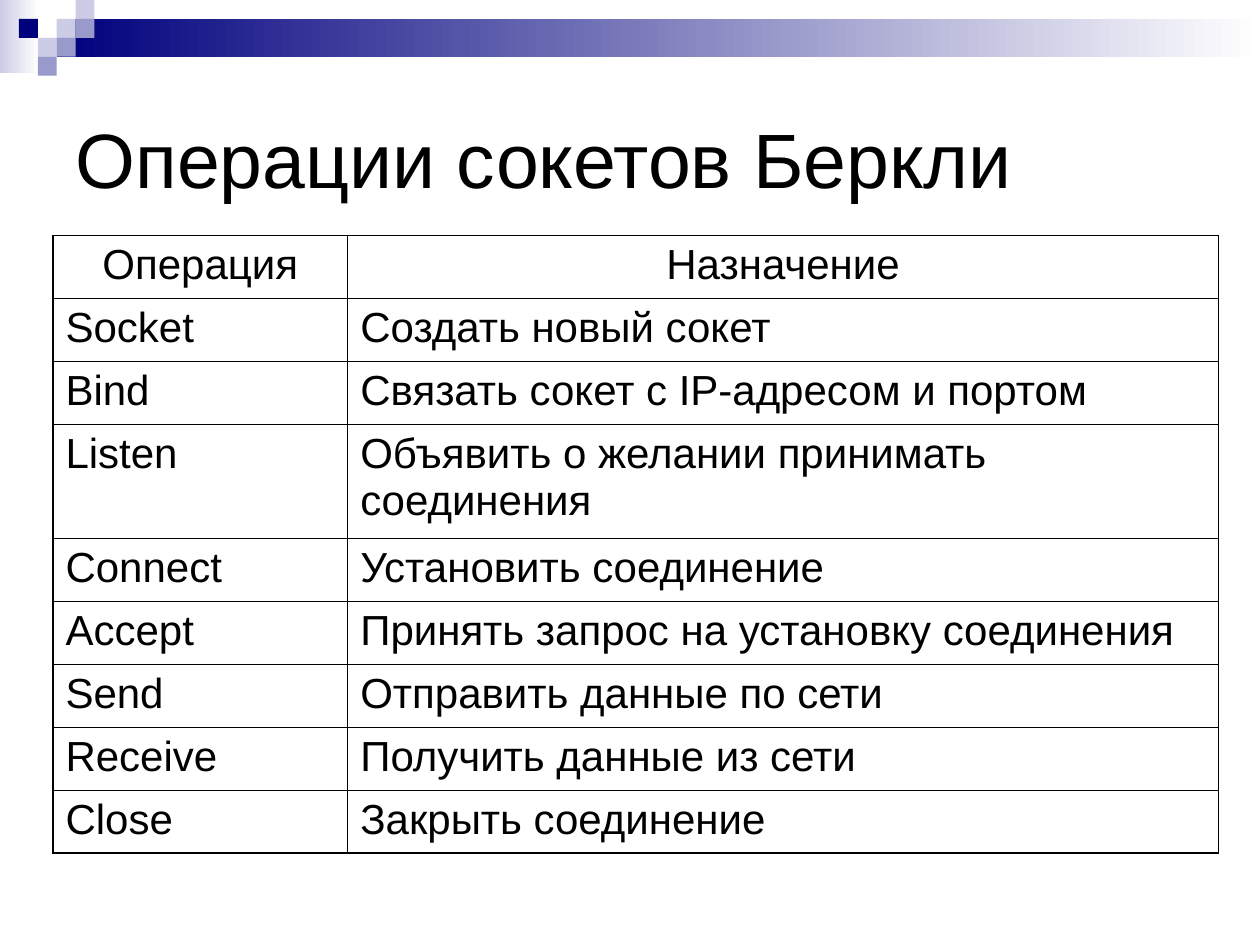
"""Build the slide that lists the Berkeley socket operations."""
from lxml.etree import SubElement
from pptx import Presentation
from pptx.dml.color import RGBColor
from pptx.enum.shapes import MSO_SHAPE
from pptx.enum.text import MSO_ANCHOR, MSO_AUTO_SIZE, PP_ALIGN
from pptx.oxml.ns import qn
from pptx.util import Inches, Pt

TITLE = "Операции сокетов Беркли"
OPERATIONS = [
    ("Операция", "Назначение"),
    ("Socket", "Создать новый сокет"),
    ("Bind", "Связать сокет с IP-адресом и портом"),
    ("Listen", "Объявить о желании принимать соединения"),
    ("Connect", "Установить соединение"),
    ("Accept", "Принять запрос на установку соединения"),
    ("Send", "Отправить данные по сети"),
    ("Receive", "Получить данные из сети"),
    ("Close", "Закрыть соединение"),
]
COLORS = {"navy": "00007D", "mid": "9999CC", "light": "CCCCE6",
          "white": "FFFFFF", "black": "000000"}
FONT = "Arial"
UNIT = 0.15
BANDS = [((0, 0, 0.31, 0.58), "light"), ((0.45, 0.15, 9.55, 0.3), "navy")]
SQUARES = [(3, 1, "light"), (4, 0, "light"), (4, 1, "mid"), (2, 2, "light"),
           (1, 1, "navy"), (3, 2, "mid"), (2, 3, "mid")]
COLUMN_WIDTHS = [2.34, 6.91]
ROW_HEIGHT, TALL_ROW_HEIGHT, TALL_ROW = 0.5, 0.9, "Listen"
THIN, THICK = 0.45, 1.08


def color(name):
    return RGBColor.from_string(COLORS[name])


def add_rectangle(slide, left, top, width, height):
    box = slide.shapes.add_shape(
        MSO_SHAPE.RECTANGLE, *map(Inches, (left, top, width, height)))
    box.shadow.inherit = False
    box.line.fill.background()
    return box


def add_decoration(slide):
    for place, start in BANDS:
        fill = add_rectangle(slide, *place).fill
        fill.gradient()
        fill.gradient_angle = 0
        for stop, name in zip(fill.gradient_stops, (start, "white")):
            stop.color.rgb = color(name)
    for column, row, name in SQUARES:
        fill = add_rectangle(slide, column * UNIT, row * UNIT, UNIT, UNIT).fill
        fill.solid()
        fill.fore_color.rgb = color(name)


def set_font(paragraph, size):
    paragraph.font.name = FONT
    paragraph.font.size = Pt(size)
    paragraph.font.bold = False
    paragraph.font.color.rgb = color("black")


def add_title(slide):
    title = slide.shapes.title
    title.left, title.top, title.width, title.height = map(
        Inches, (0.5, 0.5, 9, 1.5))
    frame = title.text_frame
    frame.text = TITLE
    frame.auto_size = MSO_AUTO_SIZE.NONE
    frame.vertical_anchor = MSO_ANCHOR.MIDDLE
    frame.paragraphs[0].alignment = PP_ALIGN.LEFT
    set_font(frame.paragraphs[0], 44)
    slide.shapes.element.append(title.element)


def set_borders(cell, outer_edges):
    properties = cell._tc.get_or_add_tcPr()
    for position, (side, is_outer) in enumerate(outer_edges.items()):
        width = Pt(THICK if is_outer else THIN)
        line = properties.makeelement(qn(f"a:ln{side}"), {"w": str(width)})
        fill = SubElement(line, qn("a:solidFill"))
        SubElement(fill, qn("a:srgbClr"), val=COLORS["black"])
        properties.insert(position, line)


def add_operations_table(slide):
    heights = [TALL_ROW_HEIGHT if name == TALL_ROW else ROW_HEIGHT
               for name, _ in OPERATIONS]
    size = sum(COLUMN_WIDTHS), sum(heights)
    table = slide.shapes.add_table(
        len(OPERATIONS), len(COLUMN_WIDTHS),
        *map(Inches, (0.42, 1.87, *size))).table
    table.first_row = table.horz_banding = False
    for column, width in zip(table.columns, COLUMN_WIDTHS):
        column.width = Inches(width)
    last_row, last_column = len(heights) - 1, len(COLUMN_WIDTHS) - 1
    for r, (texts, height) in enumerate(zip(OPERATIONS, heights)):
        table.rows[r].height = Inches(height)
        for c, text in enumerate(texts):
            cell = table.cell(r, c)
            cell.text = text
            cell.fill.background()
            paragraph = cell.text_frame.paragraphs[0]
            paragraph.alignment = PP_ALIGN.LEFT if r else PP_ALIGN.CENTER
            set_font(paragraph, 24)
            set_borders(cell, {"L": c == 0, "R": c == last_column,
                               "T": r == 0, "B": r == last_row})


def main():
    deck = Presentation()
    deck.slide_width, deck.slide_height = Inches(10), Inches(7.5)
    slide = deck.slides.add_slide(deck.slide_layouts[5])
    add_decoration(slide)
    add_title(slide)
    add_operations_table(slide)
    deck.save("out.pptx")


if __name__ == "__main__":
    main()
